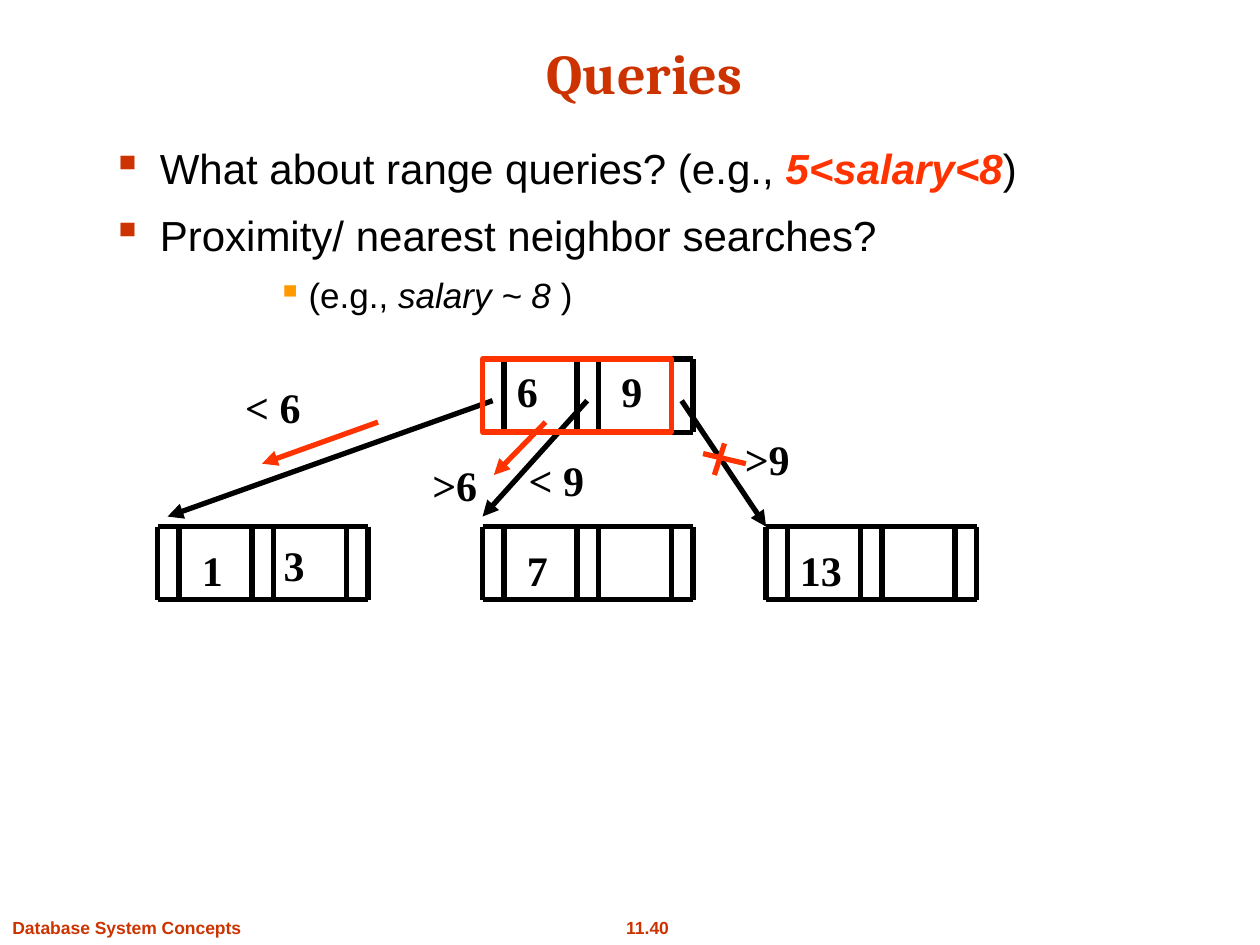
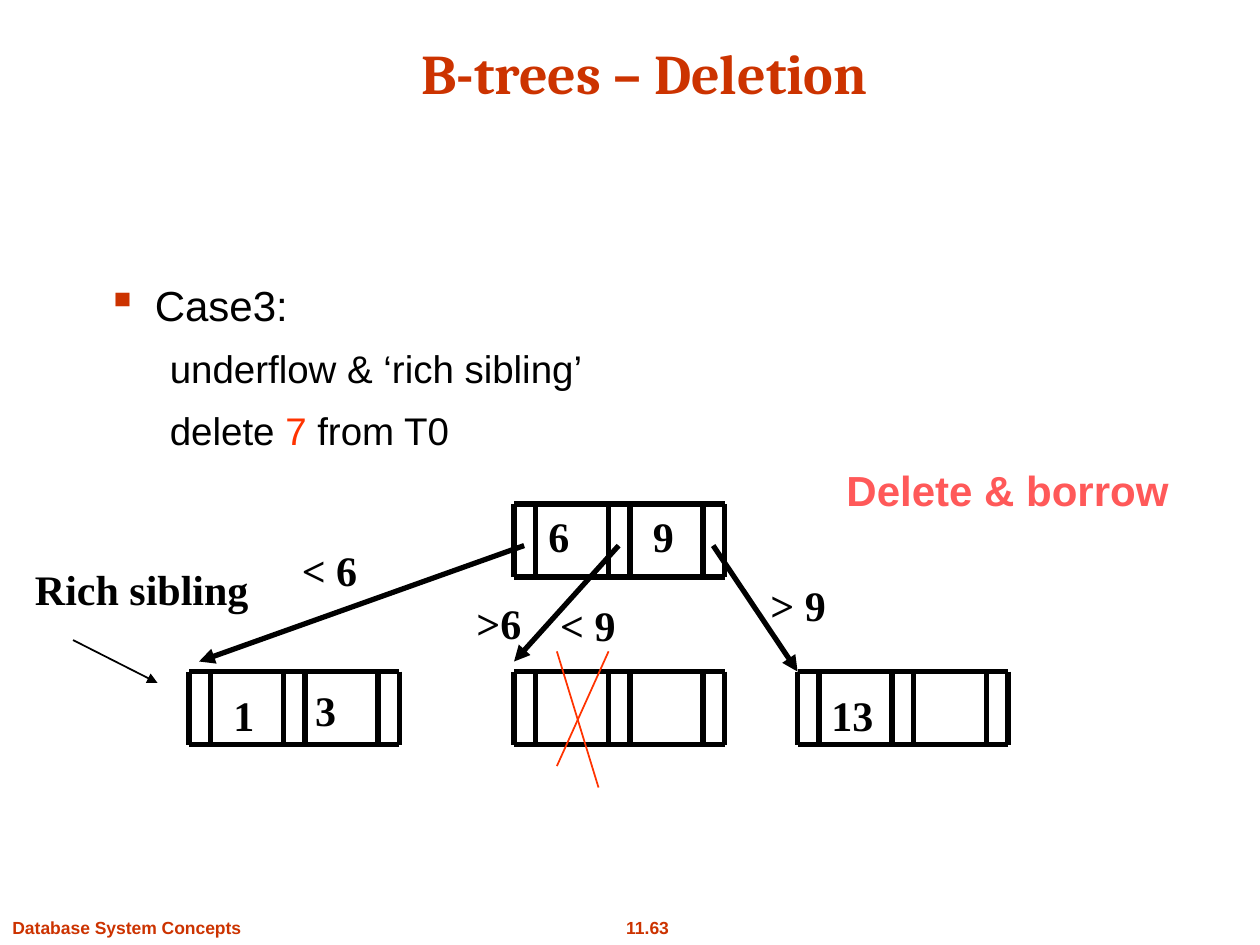
from dataclasses import dataclass
from typing import Any, Optional

from lxml.etree import SubElement
from pptx import Presentation
from pptx.dml.color import RGBColor
from pptx.enum.shapes import MSO_CONNECTOR, MSO_SHAPE
from pptx.enum.text import MSO_ANCHOR, PP_ALIGN
from pptx.oxml.ns import qn
from pptx.util import Inches, Pt


@dataclass(frozen=True)
class Theme:
    black: str = "000000"
    rust: str = "CC3300"
    red: str = "FF3300"
    amber: str = "FF9900"
    rose: str = "FF5959"
    head: str = "Cambria"
    sans: str = "Arial"
    serif: str = "Times New Roman"
    title: int = 32
    body: int = 24
    sub: int = 22
    note: int = 20
    foot: int = 10
    thick: int = 3
    thin: int = 1


T = Theme()


@dataclass(frozen=True)
class Run:
    text: str
    size: int = T.body
    color: str = T.black
    font: str = T.sans
    bold: bool = False
    slant: bool = False


@dataclass(frozen=True)
class Para:
    runs: tuple[Run, ...]
    left: float = 0
    hang: float = 0
    bullet: Optional[str] = None
    level: int = 0
    align: PP_ALIGN = PP_ALIGN.LEFT


@dataclass(frozen=True)
class Box:
    x: float
    y: float
    w: float
    h: float


@dataclass(frozen=True)
class Line:
    x1: float
    y1: float
    x2: float
    y2: float
    color: str = T.black
    width: int = T.thick
    arrow: bool = False


@dataclass(frozen=True)
class Label:
    text: str
    x: float
    y: float
    w: float


CELL = Box(0, 0, 1.67, 0.58)
BARS = (0, 0.17, 0.75, 0.92, 1.5, 1.67)
NODES = ((0, 0), (2.25, 1.33), (0, 1.33), (-2.58, 1.33))
LINKS = ((0.08, 0.33, -2.5, 1.25), (0.83, 0.33, 0, 1.25), (1.58, 0.33, 2.25, 1.33))
KEYS = (
    Label("1", -2.33, 1.42, 0.37),
    Label("3", -1.68, 1.38, 0.37),
    Label("6", 0.17, 0, 0.37),
    Label("9", 1, 0, 0.37),
    Label("13", 2.42, 1.42, 0.53),
)


def write(slide: Any, box: Box, paras: tuple[Para, ...], wrap: bool = True,
          anchor: MSO_ANCHOR = MSO_ANCHOR.TOP) -> None:
    frame = slide.shapes.add_textbox(
        Inches(box.x), Inches(box.y), Inches(box.w), Inches(box.h)).text_frame
    frame.word_wrap = wrap
    frame.vertical_anchor = anchor
    for index, item in enumerate(paras):
        para = frame.paragraphs[0] if index == 0 else frame.add_paragraph()
        para.alignment = item.align
        para.level = item.level
        if index:
            para.space_before = Pt(round(item.runs[0].size * 0.4, 1))
        props = para._p.get_or_add_pPr()
        props.set("marL", str(Inches(item.left)))
        props.set("indent", str(Inches(item.hang)))
        if item.bullet:
            tint = SubElement(props, qn("a:buClr"))
            SubElement(tint, qn("a:srgbClr")).set("val", item.bullet)
            SubElement(props, qn("a:buChar")).set("char", "▪")
        for part in item.runs:
            run = para.add_run()
            run.text = part.text
            font = run.font
            font.name, font.size = part.font, Pt(part.size)
            font.bold, font.italic = part.bold, part.slant
            font.color.rgb = RGBColor.from_string(part.color)


def draw(shapes: Any, line: Line) -> None:
    link = shapes.add_connector(
        MSO_CONNECTOR.STRAIGHT, Inches(line.x1), Inches(line.y1),
        Inches(line.x2), Inches(line.y2))
    link.line.color.rgb = RGBColor.from_string(line.color)
    link.line.width = Pt(line.width)
    if line.arrow:
        SubElement(link.line._get_or_add_ln(), qn("a:tailEnd")).set("type", "triangle")
    SubElement(link._element.spPr, qn("a:effectLst"))


def node(slide: Any, x: float, y: float) -> None:
    group = slide.shapes.add_group_shape()
    for bar in BARS:
        draw(group.shapes, Line(x + bar, y, x + bar, y + CELL.h))
    for edge in (y, y + CELL.h):
        draw(group.shapes, Line(x, edge, x + CELL.w, edge))


def label(slide: Any, item: Label, x: float = 0, y: float = 0) -> None:
    run = Run(item.text, font=T.serif, bold=True)
    write(slide, Box(x + item.x, y + item.y, item.w, 0.5),
          (Para((run,), align=PP_ALIGN.CENTER),), wrap=False)


def tree(slide: Any, x: float, y: float, signs: tuple[Label, ...]) -> None:
    for dx, dy in NODES:
        node(slide, x + dx, y + dy)
    for x1, y1, x2, y2 in LINKS:
        draw(slide.shapes, Line(x + x1, y + y1, x + x2, y + y2, arrow=True))
    for key in KEYS:
        label(slide, key, x, y)
    for sign in signs:
        label(slide, sign)


def start(deck: Any, title: str, number: str) -> Any:
    slide = deck.slides.add_slide(deck.slide_layouts[6])
    foot = Run("Database System Concepts", T.foot, T.rust, bold=True)
    page = Run(number, T.foot, T.rust, bold=True)
    head = Run(title, T.title, T.rust, T.head, True)
    write(slide, Box(4.86, 7.23, 0.56, 0.27),
          (Para((page,), align=PP_ALIGN.CENTER),), wrap=False)
    write(slide, Box(0, 7.23, 2.02, 0.27), (Para((foot,)),), wrap=False)
    write(slide, Box(0.7, 0.22, 8.83, 0.67),
          (Para((head,), align=PP_ALIGN.CENTER),), anchor=MSO_ANCHOR.BOTTOM)
    return slide


def point(*runs: Run) -> Para:
    return Para(runs, 0.38, -0.38, T.rust)


def plain(*runs: Run) -> Para:
    return Para(runs, 0.81, -0.31, level=1)


def query(deck: Any) -> None:
    slide = start(deck, "Queries", "11.40")
    write(slide, Box(0.79, 1.08, 8.92, 4.5), (
        point(Run("What about range queries? (e.g., "),
              Run("5<salary<8", color=T.red, bold=True, slant=True), Run(")")),
        point(Run("Proximity/ nearest neighbor searches? ")),
        Para((Run("(e.g., ", T.note), Run("salary ~ 8", T.note, slant=True),
              Run(" )", T.note)), 1.56, -0.25, T.amber, 3),
    ))
    tree(slide, 3.83, 2.85, (
        Label("7", 4.08, 4.27, 0.37),
        Label("< 6", 1.84, 2.98, 0.65),
        Label(">6", 3.33, 3.6, 0.56),
        Label("< 9", 4.09, 3.56, 0.65),
        Label(">9", 5.81, 3.39, 0.56),
    ))
    frame = slide.shapes.add_shape(
        MSO_SHAPE.RECTANGLE, Inches(3.83), Inches(2.85), Inches(1.5), Inches(CELL.h))
    frame.shadow.inherit = False
    frame.fill.background()
    frame.line.color.rgb = RGBColor.from_string(T.red)
    frame.line.width = Pt(T.thick)
    for line in (
        Line(3, 3.35, 2.08, 3.68, T.red, arrow=True),
        Line(4.33, 3.35, 3.92, 3.77, T.red, arrow=True),
        Line(5.67, 3.77, 5.75, 3.52, T.red),
        Line(5.58, 3.6, 5.92, 3.68, T.red),
    ):
        draw(slide.shapes, line)


def delete(deck: Any) -> None:
    slide = start(deck, "B-trees – Deletion", "11.63")
    tree(slide, 4.08, 4, (
        Label("< 6", 2.29, 4.27, 0.65),
        Label(">6", 3.68, 4.69, 0.56),
        Label("< 9", 4.34, 4.71, 0.65),
        Label("> 9", 6.01, 4.55, 0.65),
        Label("Rich sibling", 0, 4.42, 2.25),
    ))
    for line in (
        Line(0.58, 5.08, 1.25, 5.42, width=T.thin, arrow=True),
        Line(4.42, 6.08, 4.83, 5.17, T.red, T.thin),
        Line(4.42, 5.17, 4.75, 6.25, T.red, T.thin),
    ):
        draw(slide.shapes, line)
    write(slide, Box(0.75, 2.17, 8.58, 1.17), (
        point(Run("Case3:")),
        plain(Run("underflow & ‘rich sibling’", T.sub)),
        plain(Run("delete ", T.sub), Run("7", T.sub, T.red), Run(" from T0", T.sub)),
    ))
    write(slide, Box(6.62, 3.64, 3.1, 0.5),
          (Para((Run("Delete & borrow", color=T.rose, bold=True),)),))


def main() -> None:
    deck = Presentation()
    deck.slide_width, deck.slide_height = Inches(10), Inches(7.5)
    query(deck)
    delete(deck)
    deck.save("out.pptx")


main()
